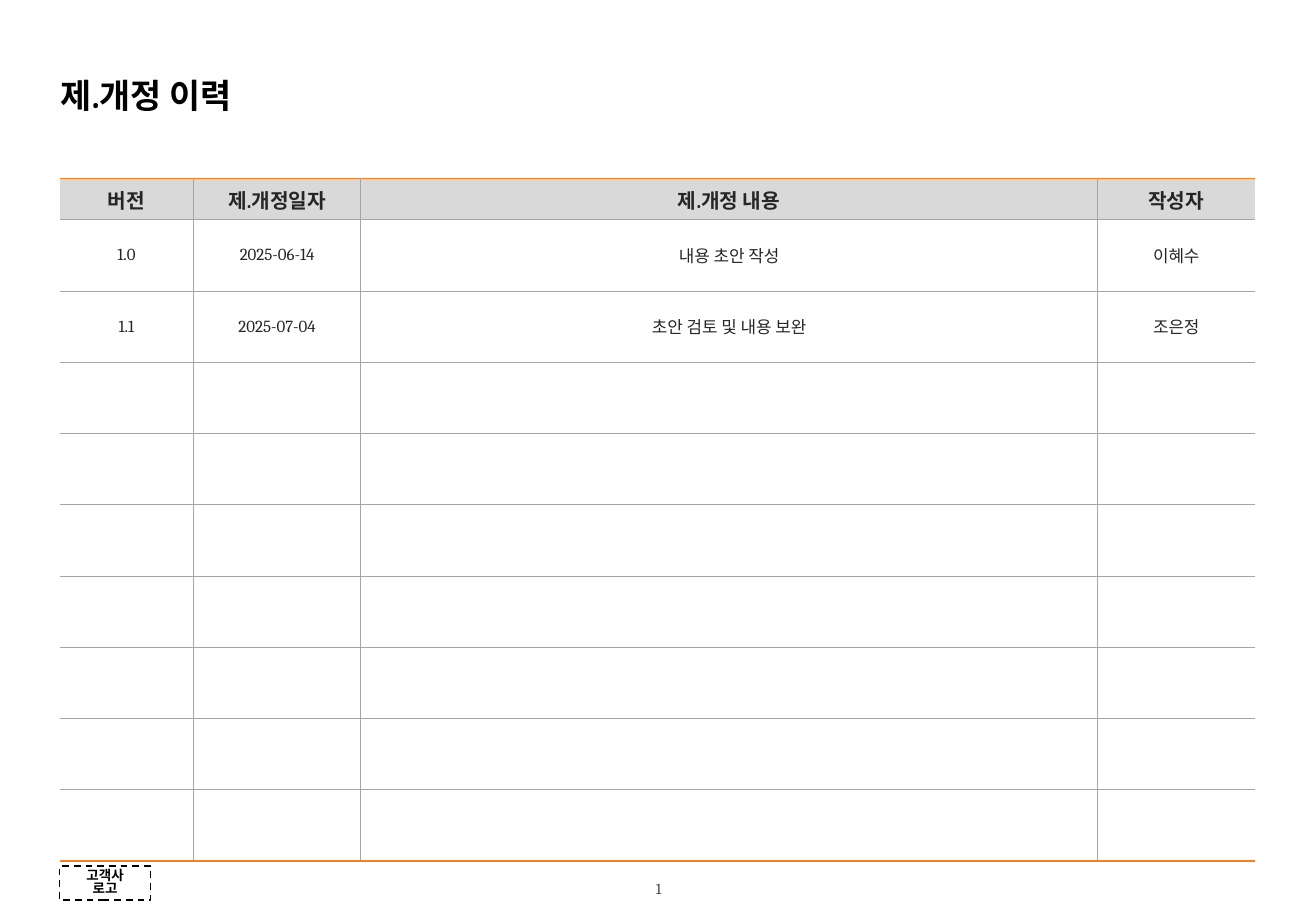
from lxml import etree
from pptx import Presentation
from pptx.dml.color import RGBColor
from pptx.enum.dml import MSO_LINE
from pptx.enum.shapes import MSO_SHAPE
from pptx.enum.text import MSO_ANCHOR, PP_ALIGN
from pptx.oxml.ns import qn
from pptx.util import Inches, Pt

CENTER = PP_ALIGN.CENTER
LEFT = PP_ALIGN.LEFT
MIDDLE = MSO_ANCHOR.MIDDLE
DASH = MSO_LINE.DASH
RECTANGLE = MSO_SHAPE.RECTANGLE

BLACK = RGBColor(0x00, 0x00, 0x00)
WHITE = RGBColor(0xFF, 0xFF, 0xFF)
INK = RGBColor(0x26, 0x26, 0x26)
PAGE_GRAY = RGBColor(0x3F, 0x3F, 0x3F)
HEADER_GRAY = RGBColor(0xD9, 0xD9, 0xD9)
RULE_GRAY = RGBColor(0xA5, 0xA5, 0xA5)
ORANGE = RGBColor(0xF5, 0x80, 0x25)
LATIN_FONT = "Cambria"
KOREAN_FONT = "Noto Sans CJK KR"


def write(frame, text, size, color, bold=False, align=CENTER, latin=LATIN_FONT):
    frame.text = text
    for para in frame.paragraphs:
        para.alignment = align
        for span in para.runs:
            span.font.size = Pt(size)
            span.font.bold = bold
            span.font.color.rgb = color
            span.font.name = latin
            properties = span.font._element
            etree.SubElement(properties, qn("a:ea")).set("typeface", KOREAN_FONT)


def set_borders(cell, borders):
    properties = cell._tc.get_or_add_tcPr()
    for index, (side, color, width) in enumerate(borders):
        line = etree.Element(qn("a:ln" + side), w=str(Pt(width)))
        if color is None:
            etree.SubElement(line, qn("a:noFill"))
        else:
            fill = etree.SubElement(line, qn("a:solidFill"))
            etree.SubElement(fill, qn("a:srgbClr")).set("val", str(color))
        properties.insert(index, line)


deck = Presentation()
deck.slide_width = Inches(10.83)
deck.slide_height = Inches(7.5)
page = deck.slides.add_slide(deck.slide_layouts[6])

page_number = page.shapes.add_textbox(Inches(3.96), Inches(7.22), Inches(2.92), Inches(0.18))
page_number.text_frame.word_wrap = True
page_number.text_frame.vertical_anchor = MIDDLE
write(page_number.text_frame, "1", 9, PAGE_GRAY)

logo_box = page.shapes.add_shape(RECTANGLE, Inches(0.49), Inches(7.13), Inches(0.75), Inches(0.28))
logo_box.shadow.inherit = False
logo_box.fill.solid()
logo_box.fill.fore_color.rgb = WHITE
logo_box.line.color.rgb = BLACK
logo_box.line.width = Pt(1)
logo_box.line.dash_style = DASH
logo_box.text_frame.vertical_anchor = MIDDLE
write(logo_box.text_frame, "고객사\n로고", 8, BLACK, bold=True, latin=KOREAN_FONT)
for para in logo_box.text_frame.paragraphs:
    para.line_spacing = 0.8

column_widths = [1.1, 1.38, 6.06, 1.3]
header_height = 0.34
body_height = 5.28
history = [
    ["버전", "제.개정일자", "제.개정 내용", "작성자"],
    ["1.0", "2025-06-14", "내용 초안 작성", "이혜수"],
    ["1.1", "2025-07-04", "초안 검토 및 내용 보완", "조은정"],
]
row_count = 10
last_row = row_count - 1
last_column = len(column_widths) - 1

table = page.shapes.add_table(
    row_count, len(column_widths), Inches(0.49), Inches(1.47),
    Inches(sum(column_widths)), Inches(header_height + body_height),
).table
table.first_row = False
table.horz_banding = False
for column, width in zip(table.columns, column_widths):
    column.width = Inches(width)

for r, row in enumerate(table.rows):
    is_header = r == 0
    row.height = Inches(header_height if is_header else body_height / last_row)
    for c, cell in enumerate(row.cells):
        cell.vertical_anchor = MIDDLE
        cell.fill.solid()
        cell.fill.fore_color.rgb = HEADER_GRAY if is_header else WHITE
        set_borders(cell, [
            ("L", None if c == 0 else RULE_GRAY, 0.75),
            ("R", None if c == last_column else RULE_GRAY, 0.75),
            ("T", ORANGE, 1) if is_header else ("T", RULE_GRAY, 0.75),
            ("B", ORANGE, 1) if r == last_row else ("B", RULE_GRAY, 0.75),
        ])
        if r < len(history):
            write(cell.text_frame, history[r][c], 12 if is_header else 10, INK, bold=is_header)

title = page.shapes.add_textbox(Inches(0.5), Inches(0.57), Inches(8.02), Inches(0.44))
title.text_frame.word_wrap = True
title.text_frame.margin_left = 0
write(title.text_frame, "제.개정 이력", 20, BLACK, bold=True, align=LEFT)

deck.save("out.pptx")
